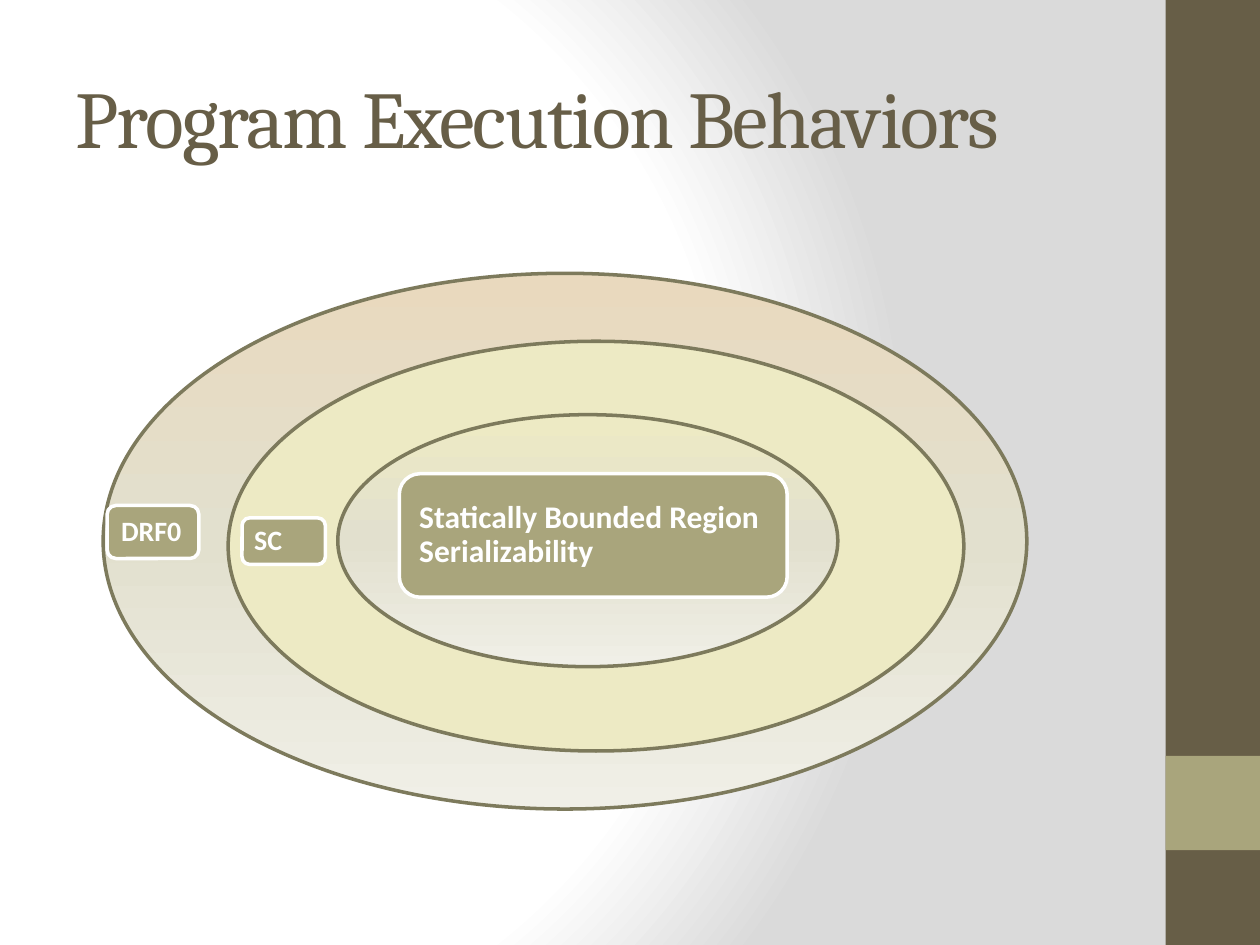
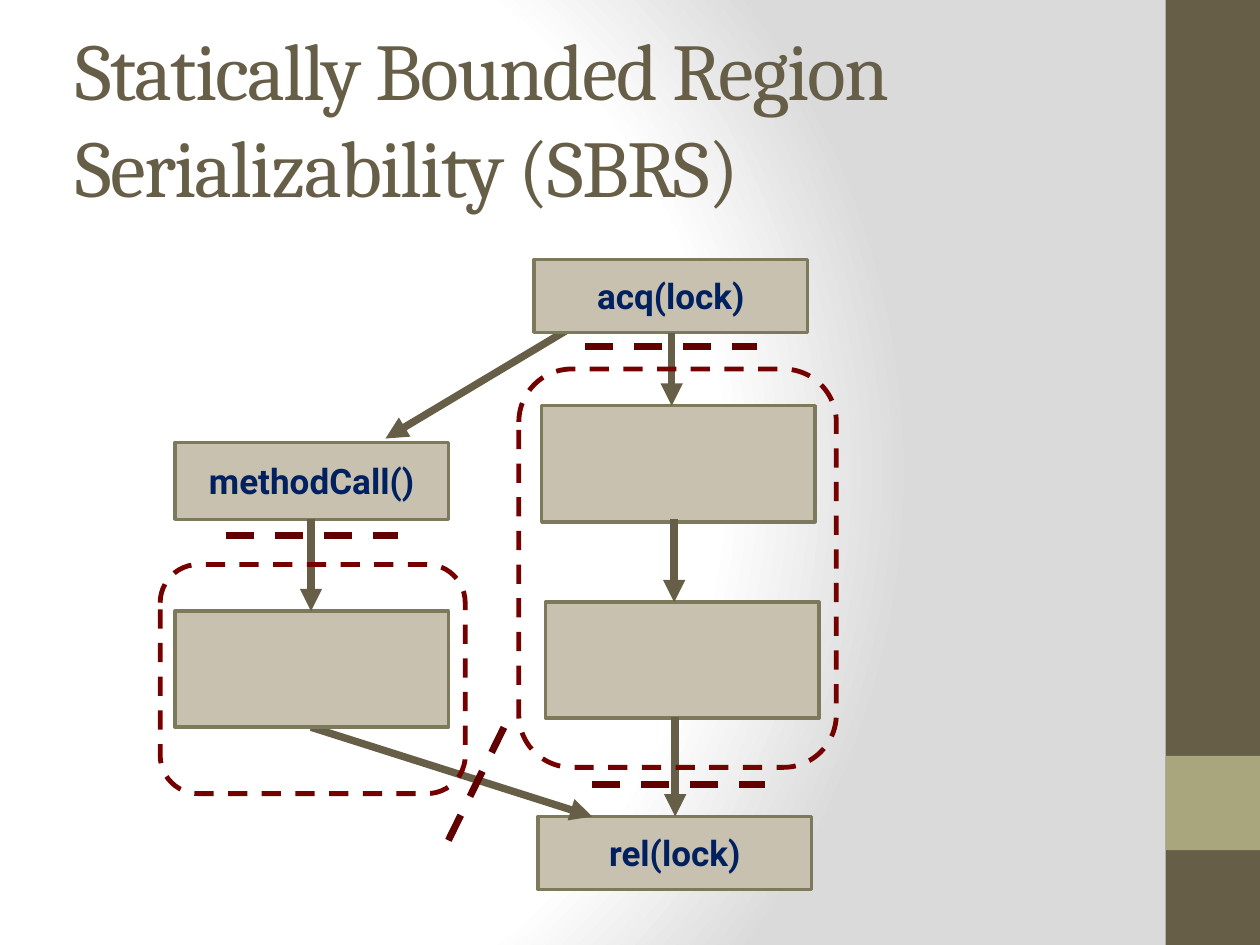
from lxml import etree
from pptx import Presentation
from pptx import util as u
from pptx.dml.color import RGBColor
from pptx.enum import dml, shapes, text
from pptx.oxml import parse_xml
from pptx.oxml.ns import nsdecls, qn

COLORS = {
    "olive": "675E47", "sage": "A9A57C", "edge": "7D7A5C", "white": "FFFFFF",
    "mist": "DADADA", "peach": "E9D9BE", "cream": "EDEAC4", "sand": "E2E0CE",
    "ivory": "F0EFE7", "stone": "C8C1AF", "navy": "002060",
    "region": "740000", "boundary": "600000",
}
RADIAL = '<a:path path="circle"><a:fillToRect l="20000" t="50000" r="100000" b="50000"/></a:path>'
DOWNWARD = '<a:lin ang="5400000" scaled="0"/>'
BOX_WIDTH = 5.51


def rgb(name):
    return RGBColor.from_string(COLORS[name])


def apply_gradient(element, stops, direction):
    marks = "".join(
        f'<a:gs pos="{place * 1000}"><a:srgbClr val="{COLORS[name]}"/></a:gs>'
        for place, name in stops)
    gradient = parse_xml(
        f'<a:gradFill {nsdecls("a")} rotWithShape="1"><a:gsLst>{marks}</a:gsLst>'
        f'{direction}</a:gradFill>')
    solid = next(element.iter(qn("a:solidFill")))
    solid.getparent().replace(solid, gradient)


class Painter:
    def __init__(self):
        self.deck = Presentation()
        self.deck.slide_width, self.deck.slide_height = u.Cm(25.4), u.Cm(19.05)
        master = self.deck.slide_master
        master.background.fill.solid()
        master.background.fill.fore_color.rgb = rgb("white")
        apply_gradient(master.element, [(0, "white"), (75, "white"), (100, "mist")], RADIAL)
        self.slide = None

    def start_slide(self, heading):
        self.slide = self.deck.slides.add_slide(self.deck.slide_layouts[5])
        self.shape("RECTANGLE", (23.5, 0, 1.9, 19.05), "olive")
        self.shape("RECTANGLE", (23.5, 15.24, 1.9, 1.9), "sage")
        title = self.slide.shapes.title
        title.left, title.top, title.width, title.height = map(u.Cm, (1.27, 0.76, 21.16, 3.18))
        title.text_frame.auto_size = text.MSO_AUTO_SIZE.NONE
        self.set_words(title, heading, "Cambria", 46, "olive", bold=False)
        for span in title.text_frame.paragraphs[0].runs:
            span._r.get_or_add_rPr().set("spc", "-100")

    def set_words(self, box, words, font, size, color, bold=True, align=text.PP_ALIGN.LEFT):
        frame = box.text_frame
        frame.text = words
        frame.word_wrap = True
        frame.vertical_anchor = text.MSO_ANCHOR.MIDDLE
        para = frame.paragraphs[0]
        para.alignment = align
        for span in para.runs:
            span.font.name, span.font.size, span.font.bold = font, u.Pt(size), bold
            span.font.color.rgb = rgb(color)

    def shape(self, kind, place, fill=None, edge=None, width=2, dashed=False):
        box = self.slide.shapes.add_shape(shapes.MSO_SHAPE[kind], *map(u.Cm, place))
        box.shadow.inherit = False
        if fill:
            box.fill.solid()
            box.fill.fore_color.rgb = rgb(fill)
        else:
            box.fill.background()
        if edge:
            self.stroke(box.line, edge, width, dashed)
        else:
            box.line.fill.background()
        return box

    def stroke(self, line, color, width, dashed):
        line.color.rgb = rgb(color)
        line.width = u.Pt(width)
        if dashed:
            line.dash_style = dml.MSO_LINE.DASH

    def ellipse(self, place, top, *lower):
        oval = self.shape("OVAL", place, top, "edge")
        if lower:
            apply_gradient(oval._element.spPr, zip((0, 50, 100), (top, *lower)), DOWNWARD)

    def label(self, place, words, size, inset):
        box = self.shape("ROUNDED_RECTANGLE", place, "sage", "white")
        self.set_words(box, words, "Calibri", size, "white")
        frame = box.text_frame
        frame.margin_left = frame.margin_right = u.Cm(inset)
        frame.margin_top = frame.margin_bottom = u.Cm(0.18)
        frame.paragraphs[0].line_spacing = 0.9

    def block(self, left, top, height, words=None):
        box = self.shape("RECTANGLE", (left, top, BOX_WIDTH, height), "stone", "edge")
        if words:
            self.set_words(box, words, "Roboto", 20, "navy", align=text.PP_ALIGN.CENTER)

    def region(self, place):
        self.shape("ROUNDED_RECTANGLE", place, None, "region", 2.75, dashed=True)

    def connect(self, ends, color, width, dashed=False):
        link = self.slide.shapes.add_connector(shapes.MSO_CONNECTOR.STRAIGHT, *map(u.Cm, ends))
        self.stroke(link.line, color, width, dashed)
        etree.SubElement(link._element.spPr, qn("a:effectLst"))
        return link

    def arrow(self, *ends):
        link = self.connect(ends, "olive", 4.25)
        etree.SubElement(link._element.spPr.find(qn("a:ln")), qn("a:tailEnd"), type="triangle")

    def boundary(self, *ends):
        self.connect(ends, "boundary", 4, dashed=True)


def draw_behaviors(painter):
    painter.start_slide("Program Execution Behaviors")
    painter.ellipse((2.08, 5.51, 18.62, 10.8), "peach", "sand", "ivory")
    painter.ellipse((4.6, 6.88, 14.83, 8.26), "cream")
    painter.ellipse((6.81, 8.36, 10.08, 5.08), "cream", "sand", "ivory")
    painter.label((8.05, 9.55, 7.82, 2.49), "Statically Bounded Region Serializability", 18, 0.28)
    painter.label((4.88, 10.44, 1.68, 0.94), "SC", 16, 0.2)
    painter.label((2.16, 10.19, 1.85, 1.07), "DRF0", 16, 0.23)


def draw_regions(painter):
    painter.start_slide("Statically Bounded Region Serializability (SBRS)")
    painter.block(10.85, 16.46, 1.47, "rel(lock)")
    painter.arrow(11.94, 6.35, 7.77, 8.84)
    painter.arrow(6.27, 14.66, 11.94, 16.46)
    painter.block(10.77, 5.23, 1.47, "acq(lock)")
    painter.block(3.53, 8.92, 1.55, "methodCall()")
    for left, top in ((11, 12.14), (3.53, 12.32), (10.92, 8.18)):
        painter.block(left, top, 2.34)
    for x, start, end in ((6.27, 10.46, 12.32), (13.59, 10.46, 12.14),
                          (13.61, 14.45, 16.46), (13.54, 6.71, 8.18)):
        painter.arrow(x, start, x, end)
    painter.region((3.23, 11.38, 6.15, 4.62))
    painter.region((10.46, 7.44, 6.4, 8.03))
    for left, y in ((4.55, 10.8), (11.94, 15.82), (11.79, 6.99)):
        painter.boundary(left, y, left + 3.48, y)
    painter.boundary(9.04, 16.94, 10.16, 14.66)


def main():
    painter = Painter()
    draw_behaviors(painter)
    draw_regions(painter)
    painter.deck.save("out.pptx")


if __name__ == "__main__":
    main()
